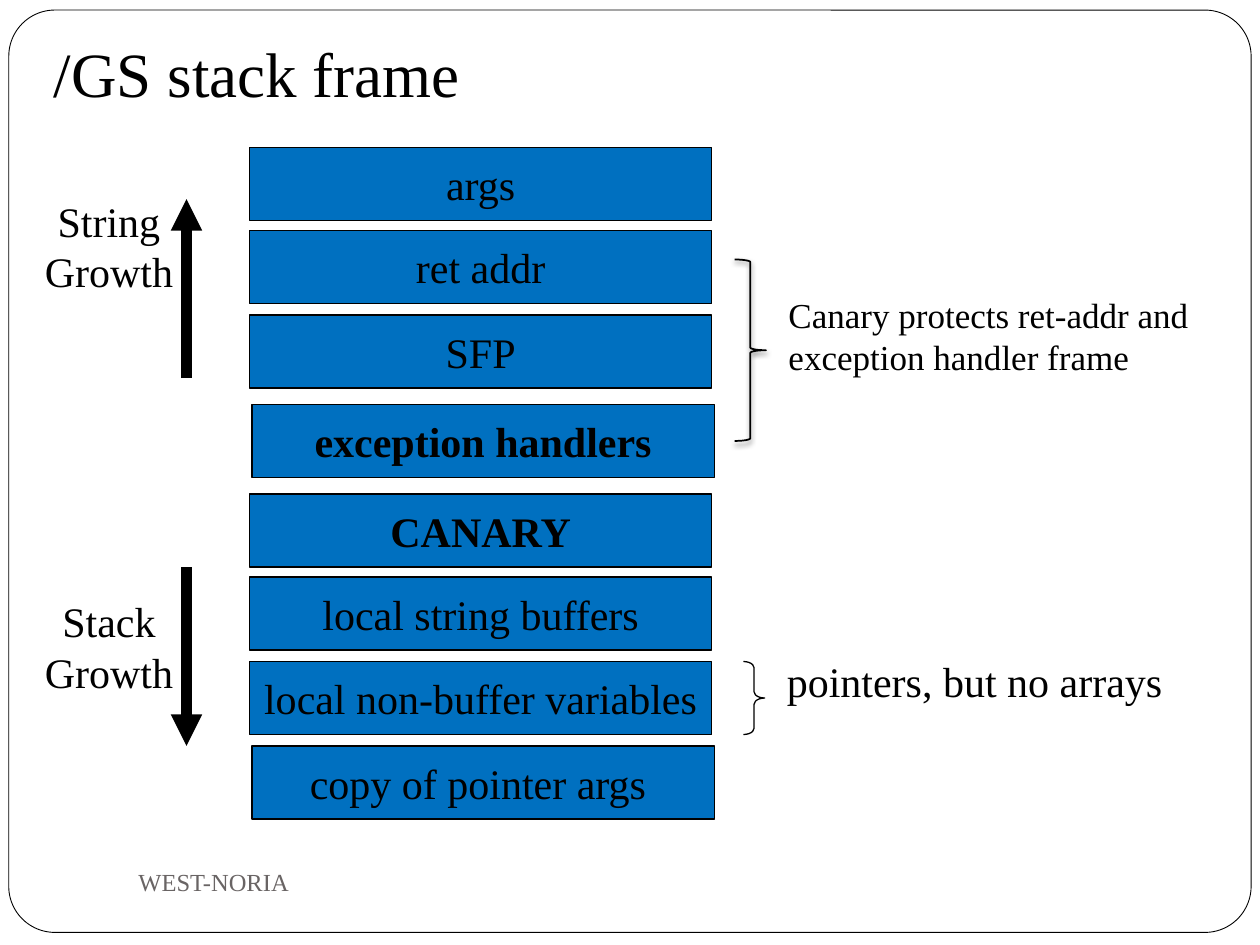
from lxml import etree
from pptx import Presentation
from pptx.dml.color import RGBColor
from pptx.enum.shapes import MSO_CONNECTOR, MSO_SHAPE
from pptx.enum.text import MSO_ANCHOR, MSO_AUTO_SIZE, PP_ALIGN
from pptx.oxml import parse_xml
from pptx.oxml.ns import nsdecls, qn
from pptx.util import Inches, Pt

RECTANGLE = MSO_SHAPE.RECTANGLE
ROUNDED = MSO_SHAPE.ROUNDED_RECTANGLE
BRACE = MSO_SHAPE.RIGHT_BRACE
STRAIGHT = MSO_CONNECTOR.STRAIGHT
LEFT, CENTER = PP_ALIGN.LEFT, PP_ALIGN.CENTER
TOP, MIDDLE, BOTTOM = MSO_ANCHOR.TOP, MSO_ANCHOR.MIDDLE, MSO_ANCHOR.BOTTOM
FIT_SHAPE = MSO_AUTO_SIZE.SHAPE_TO_FIT_TEXT

BLACK = RGBColor(0x00, 0x00, 0x00)
WHITE = RGBColor(0xFF, 0xFF, 0xFF)
BLUE = RGBColor(0x00, 0x70, 0xC0)
GRAY = RGBColor(0x69, 0x64, 0x64)
FONT = "Times New Roman"

STACK_CELLS = [
    ("args", 1.98, 1.17, False),
    ("ret addr", 1.98, 1.83, False),
    ("SFP", 1.98, 2.5, False),
    ("exception handlers", 2, 3.21, True),
    ("CANARY", 1.98, 3.92, True),
    ("local string buffers", 1.98, 4.58, False),
    ("local non-buffer variables", 1.98, 5.25, False),
    ("copy of pointer args ", 2, 5.92, False),
]


def write_text(shape, text, size, color=BLACK, bold=False, align=LEFT, anchor=TOP, wrap=False):
    frame = shape.text_frame
    frame.word_wrap = wrap
    frame.vertical_anchor = anchor
    paragraph = frame.paragraphs[0]
    paragraph.text = text
    paragraph.alignment = align
    font = paragraph.font
    font.name, font.size, font.bold = FONT, Pt(size), bold
    font.color.rgb = color
    return frame


def add_outline_shape(slide, kind, left, top, width, height, line_width, fill=None):
    shape = slide.shapes.add_shape(kind, Inches(left), Inches(top), Inches(width), Inches(height))
    shape.shadow.inherit = False
    if fill is None:
        shape.fill.background()
    else:
        shape.fill.solid()
        shape.fill.fore_color.rgb = fill
    shape.line.color.rgb = BLACK
    shape.line.width = Pt(line_width)
    return shape


def add_text(slide, text, left, top, width, height, size, **style):
    box = slide.shapes.add_textbox(Inches(left), Inches(top), Inches(width), Inches(height))
    return write_text(box, text, size, **style)


def add_label(slide, text, left, top, width, height, size=24, align=CENTER):
    frame = add_text(slide, text, left, top, width, height, size, align=align)
    frame.auto_size = FIT_SHAPE


def add_stack_cell(slide, text, left, top, bold):
    cell = add_outline_shape(slide, RECTANGLE, left, top, 3.67, 0.58, 0.75, BLUE)
    write_text(cell, text, 24, bold=bold, align=CENTER, anchor=MIDDLE)


def add_arrow(slide, x, start, end):
    arrow = slide.shapes.add_connector(STRAIGHT, Inches(x), Inches(start), Inches(x), Inches(end))
    arrow.line.color.rgb = BLACK
    arrow.line.width = Pt(6)
    etree.SubElement(arrow.line._get_or_add_ln(), qn("a:tailEnd"), type="triangle")
    etree.SubElement(arrow._element.spPr, qn("a:effectLst"))


def add_soft_shadow(shape):
    effects = shape._element.spPr.find(qn("a:effectLst"))
    effects.append(parse_xml(
        f'<a:outerShdw {nsdecls("a")} blurRad="{Pt(3)}" dist="{Pt(2)}" dir="5400000" '
        'rotWithShape="0"><a:srgbClr val="000000"><a:alpha val="50000"/></a:srgbClr></a:outerShdw>'
    ))


def main():
    presentation = Presentation()
    presentation.slide_width, presentation.slide_height = Inches(10), Inches(7.5)
    slide = presentation.slides.add_slide(presentation.slide_layouts[6])

    border = add_outline_shape(slide, ROUNDED, 0.07, 0.08, 9.86, 7.32, 0.5, WHITE)
    border.adjustments[0] = 0.05
    title = add_text(slide, "/GS stack frame", 0.33, 0.25, 9, 0.72, 36, anchor=BOTTOM, wrap=True)
    title.margin_bottom = Inches(0.1)

    for text, left, top, bold in STACK_CELLS:
        add_stack_cell(slide, text, left, top, bold)

    add_arrow(slide, 1.48, 3, 1.58)
    add_label(slide, "String\vGrowth", 0.25, 1.5, 1.23, 0.91)
    add_arrow(slide, 1.48, 4.5, 5.92)
    add_label(slide, "Stack\vGrowth", 0.25, 4.68, 1.23, 0.91)

    canary_brace = add_outline_shape(slide, BRACE, 5.83, 2.06, 0.25, 1.44, 1)
    add_soft_shadow(canary_brace)
    add_label(slide, "Canary protects ret-addr and \vexception handler frame",
              6.16, 2.28, 3.86, 0.77, size=20, align=LEFT)

    pointer_brace = add_outline_shape(slide, BRACE, 5.9, 5.25, 0.17, 0.58, 0.75)
    pointer_brace.adjustments[0] = 0.29
    add_label(slide, "pointers, but no arrays", 6.13, 5.15, 3.21, 0.5)

    add_text(slide, "WEST-NORIA", 1, 6.75, 4.33, 0.5, 14, color=GRAY, anchor=MIDDLE, wrap=True)
    presentation.save("out.pptx")


if __name__ == "__main__":
    main()
